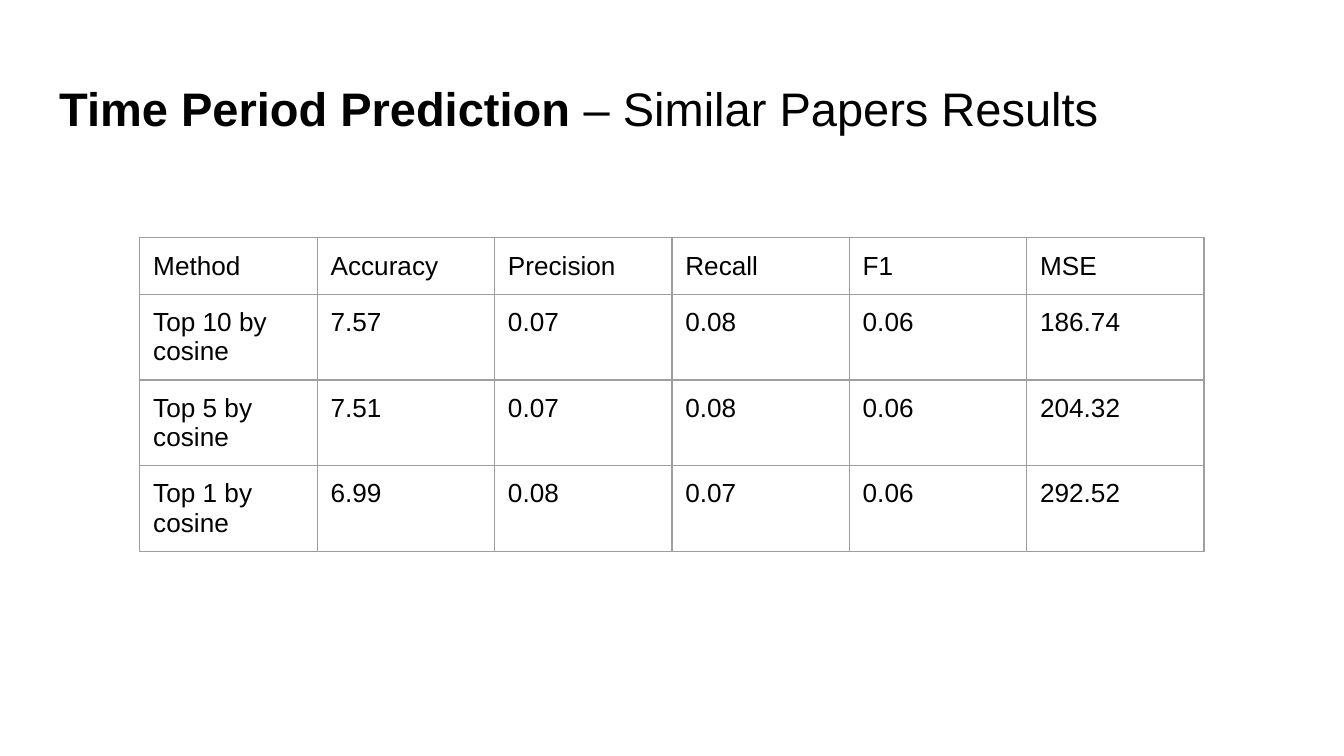
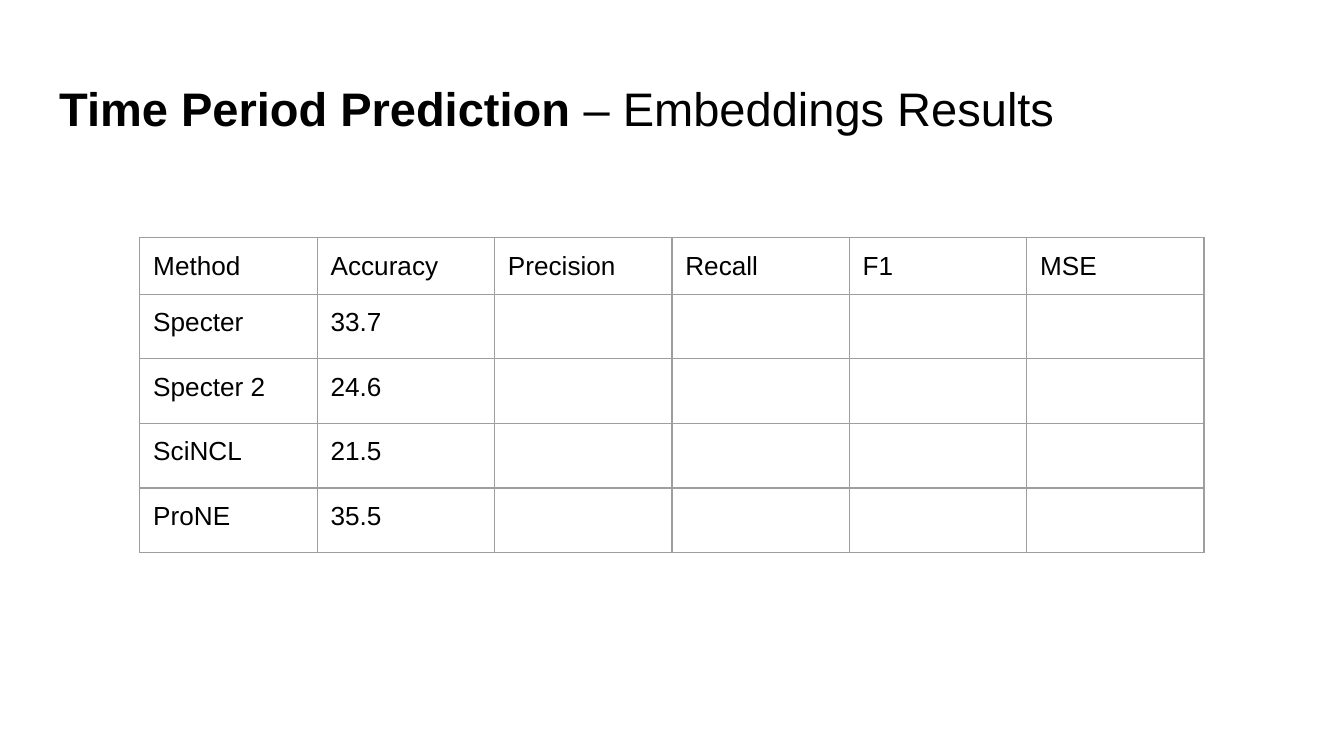
from lxml import etree
from pptx import Presentation
from pptx.dml.color import RGBColor
from pptx.enum.text import MSO_ANCHOR, MSO_AUTO_SIZE, PP_ALIGN
from pptx.oxml.ns import qn
from pptx.util import Inches, Pt

MIDDLE, NO_FIT, LEFT = MSO_ANCHOR.MIDDLE, MSO_AUTO_SIZE.NONE, PP_ALIGN.LEFT
TITLE_ONLY = 5

# Shared style
FONT, BLACK, WHITE, GRID = "Arial", "000000", "FFFFFF", "9E9E9E"
TITLE_SIZE, CELL_SIZE, EMPTY_SIZE, GRID_WIDTH = 25.2, 14, 18, 0.75
INSETS = {f"margin_{side}": Inches(0.1) for side in ("left", "right", "top", "bottom")}
COLUMN_WIDTH, ROW_HEIGHT = 1.32, 0.42

# Slide content
TOPIC = "Time Period Prediction"
HEADER = ["Method", "Accuracy", "Precision", "Recall", "F1", "MSE"]
RESULTS = {
    "Similar Papers Results": [
        ["Top 10 by cosine", "7.57", "0.07", "0.08", "0.06", "186.74"],
        ["Top 5 by cosine", "7.51", "0.07", "0.08", "0.06", "204.32"],
        ["Top 1 by cosine", "6.99", "0.08", "0.07", "0.06", "292.52"],
    ],
    "Embeddings Results": [
        ["Specter", "33.7"],
        ["Specter 2", "24.6"],
        ["SciNCL", "21.5"],
        ["ProNE", "35.5"],
    ],
}


def rgb(value):
    return RGBColor.from_string(value)


def apply(target, values):
    for name, value in values.items():
        setattr(target, name, value)


class Deck:
    def __init__(self):
        self.prs = Presentation()
        # Widescreen, 16:9
        self.prs.slide_width = Inches(10)
        self.prs.slide_height = Inches(10 * 9 / 16)

    def add_slide(self):
        self.s = self.prs.slides.add_slide(self.prs.slide_layouts[TITLE_ONLY])
        fill = self.s.background.fill
        fill.solid()
        fill.fore_color.rgb = rgb(WHITE)

    def run(self, p, text, size, bold=False):
        r = p.add_run()
        r.text = text
        apply(r.font, {"name": FONT, "size": Pt(size), "bold": bold})
        r.font.color.rgb = rgb(BLACK)

    def title(self, topic, subject):
        sp = self.s.shapes.title
        apply(sp, {"left": Inches(0.34), "top": Inches(0.49),
                   "width": Inches(9.32), "height": Inches(0.63)})
        tf = sp.text_frame
        apply(tf, {**INSETS, "word_wrap": True, "auto_size": NO_FIT,
                   "vertical_anchor": MIDDLE})
        p = tf.paragraphs[0]
        p.alignment = LEFT
        self.run(p, topic, TITLE_SIZE, bold=True)
        self.run(p, f" – {subject}", TITLE_SIZE)

    def borders(self, cell):
        tc_pr = cell._tc.get_or_add_tcPr()
        for side in ("lnL", "lnR", "lnT", "lnB"):
            line = etree.SubElement(tc_pr, qn(f"a:{side}"), w=str(Pt(GRID_WIDTH)))
            fill = etree.SubElement(line, qn("a:solidFill"))
            etree.SubElement(fill, qn("a:srgbClr"), val=GRID)

    def cell(self, cell, text):
        apply(cell, INSETS)
        self.borders(cell)
        cell.fill.background()
        p = cell.text_frame.paragraphs[0]
        if text:
            self.run(p, text, CELL_SIZE)
        else:
            # The empty line's font sets the height of its row
            end = etree.SubElement(p._p, qn("a:endParaRPr"), sz=str(EMPTY_SIZE * 100))
            etree.SubElement(end, qn("a:latin"), typeface=FONT)

    def table(self, rows):
        columns = len(rows[0])
        table = self.s.shapes.add_table(
            len(rows), columns, Inches(1.04), Inches(1.77),
            Inches(COLUMN_WIDTH * columns), Inches(ROW_HEIGHT * len(rows))).table
        apply(table, {"first_row": False, "horz_banding": False})
        for column in table.columns:
            column.width = Inches(COLUMN_WIDTH)
        for row, values in zip(table.rows, rows):
            row.height = Inches(ROW_HEIGHT)
            padded = values + [""] * (columns - len(values))
            for cell, text in zip(row.cells, padded):
                self.cell(cell, text)


def main():
    deck = Deck()
    for subject, rows in RESULTS.items():
        deck.add_slide()
        deck.title(TOPIC, subject)
        deck.table([HEADER] + rows)
    deck.prs.save("out.pptx")


if __name__ == "__main__":
    main()
